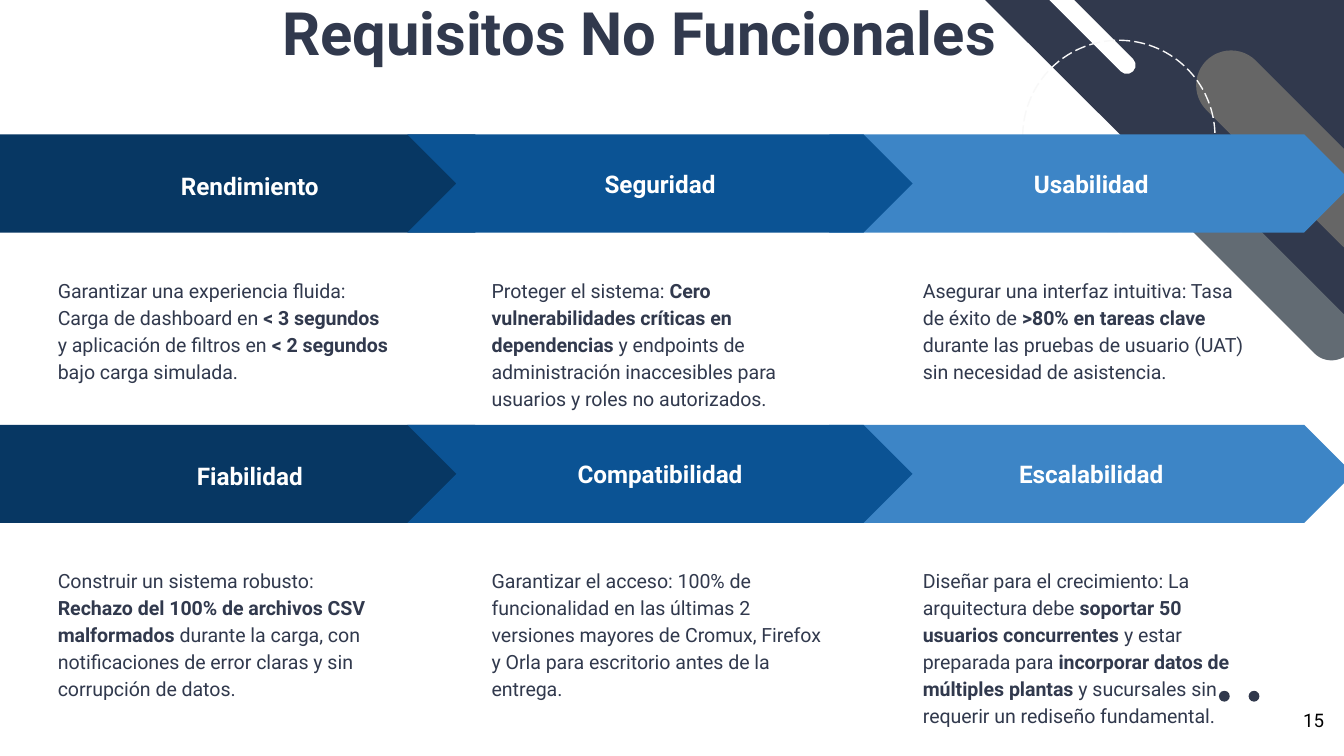
from pptx import Presentation
from pptx.dml.color import RGBColor
from pptx.enum.dml import MSO_LINE
from pptx.enum.shapes import MSO_SHAPE
from pptx.enum.text import MSO_ANCHOR, PP_ALIGN
from pptx.util import Pt

DARK = RGBColor(0x31, 0x39, 0x4D)
GRAY = RGBColor(0x66, 0x66, 0x66)
SLATE = RGBColor(0x62, 0x6B, 0x73)
PALE = RGBColor(0xF8, 0xF8, 0xF8)
WHITE = RGBColor(0xFF, 0xFF, 0xFF)
BLACK = RGBColor(0, 0, 0)
NAVY = RGBColor(0x07, 0x37, 0x63)
BLUE = RGBColor(0x0B, 0x53, 0x94)
SKY = RGBColor(0x3D, 0x85, 0xC6)

OVAL, ROUND = MSO_SHAPE.OVAL, MSO_SHAPE.ROUNDED_RECTANGLE
WEDGE = MSO_SHAPE.RIGHT_TRIANGLE
PLATE, CHEVRON = MSO_SHAPE.PENTAGON, MSO_SHAPE.CHEVRON
TOP, MIDDLE, BOTTOM = MSO_ANCHOR.TOP, MSO_ANCHOR.MIDDLE, MSO_ANCHOR.BOTTOM
LEFT, CENTER, RIGHT = PP_ALIGN.LEFT, PP_ALIGN.CENTER, PP_ALIGN.RIGHT
DASH = MSO_LINE.LONG_DASH

FONT = "Roboto"
INSET = 7.2
BAND = 52.6    # height of the arrows
DROP = 68.4    # from the top of a row to its body text

# Arrow shape, colour, left, width, line spacing; left of the body text
COLS = [
    (PLATE, NAVY, 0, 280.8, 1.15, 23.9),
    (CHEVRON, BLUE, 218.2, 270.7, 1, 256.3),
    (CHEVRON, SKY, 444.2, 280.8, 1, 487.3),
]
STACK = (2, 0, 1)  # drawing order: the middle arrow lies on top

# Top of each row, then heading and body; ** switches bold on and off
ROWS = [
    (72, [
        ("Rendimiento",
         "Garantizar una experiencia fluida: Carga de dashboard en "
         "**< 3 segundos** y aplicación de filtros en **< 2 segundos** "
         "bajo carga simulada."),
        ("Seguridad",
         "Proteger el sistema: **Cero vulnerabilidades críticas en "
         "dependencias** y endpoints de administración inaccesibles para "
         "usuarios y roles no autorizados."),
        ("Usabilidad",
         "Asegurar una interfaz intuitiva: Tasa de éxito de **>80% en "
         "tareas clave** durante las pruebas de usuario (UAT) sin "
         "necesidad de asistencia."),
    ]),
    (227.6, [
        ("Fiabilidad",
         "Construir un sistema robusto: **Rechazo del 100% de archivos CSV "
         "malformados** durante la carga, con notificaciones de error "
         "claras y sin corrupción de datos."),
        ("Compatibilidad",
         "Garantizar el acceso: 100% de funcionalidad en las últimas 2 "
         "versiones mayores de Cromux, Firefox y Orla para escritorio "
         "antes de la entrega."),
        ("Escalabilidad",
         "Diseñar para el crecimiento: La arquitectura debe **soportar 50 "
         "usuarios concurrentes** y estar preparada para **incorporar datos "
         "de múltiples plantas** y sucursales sin requerir un rediseño "
         "fundamental."),
    ]),
]


def add_shape(slide, kind, box, fill, turn=0):
    shape = slide.shapes.add_shape(kind, *map(Pt, box))
    shape.shadow.inherit = False
    shape.rotation = turn
    shape.line.fill.background()
    if fill is None:
        shape.fill.background()
    else:
        shape.fill.solid()
        shape.fill.fore_color.rgb = fill
    return shape


def add_bar(slide, box, fill):
    bar = add_shape(slide, ROUND, box, fill, 45)
    bar.adjustments[0] = 0.5


def write(shape, text, size, color, bold=None, align=LEFT, anchor=TOP,
          space=1):
    frame = shape.text_frame
    frame.word_wrap = True
    frame.vertical_anchor = anchor
    frame.margin_left = frame.margin_right = Pt(INSET)
    frame.margin_top = frame.margin_bottom = Pt(INSET)
    para = frame.paragraphs[0]
    para.alignment = align
    para.line_spacing = space
    font = para.font
    font.name, font.size, font.bold = FONT, Pt(size), bold
    font.color.rgb = color
    for i, part in enumerate(text.split("**")):
        run = para.add_run()
        run.text = part
        if i % 2:
            run.font.bold = True


def add_text(slide, box, text, size, color, **style):
    write(slide.shapes.add_textbox(*map(Pt, box)), text, size, color, **style)


def add_decor(slide):
    for left in (653, 668.9):
        add_shape(slide, OVAL, (left, 370.1, 5.8, 5.8), DARK)
    add_shape(slide, WEDGE, (526.3, -1.4, 193.7, 193), DARK, 180)
    add_bar(slide, (625.7, 63.4, 140.4, 37.4), GRAY)
    add_bar(slide, (540, 5.8, 78.5, 9.4), WHITE)
    ring = add_shape(slide, OVAL, (547.9, 21.6, 103, 103), None)
    ring.line.color.rgb = PALE
    ring.line.width = Pt(0.75)
    ring.line.dash_style = DASH
    add_bar(slide, (602.6, 126.7, 140.4, 25.9), SLATE)


def add_row(slide, top, items):
    for i in STACK:
        kind, fill, left, width, space, inner = COLS[i]
        head, body = items[i]
        arrow = add_shape(slide, kind, (left, top, width, BAND), fill)
        write(arrow, head, 13, WHITE, bold=True, align=CENTER,
              anchor=MIDDLE, space=space)
        add_text(slide, (inner, top + DROP, 193.7, 205.9), body, 10.5, DARK,
                 space=1.15)


def main():
    deck = Presentation()
    deck.slide_width, deck.slide_height = Pt(720), Pt(405)
    slide = deck.slides.add_slide(deck.slide_layouts[6])

    # Corner and dots
    add_decor(slide)
    # Page number and title
    add_text(slide, (673.2, 373.7, 43.2, 31), "15", 10, BLACK, align=RIGHT)
    add_text(slide, (144, 0, 402.5, 43.2), "Requisitos No Funcionales", 32,
             DARK, bold=True, anchor=BOTTOM)
    # Two rows of requirements
    for top, items in ROWS:
        add_row(slide, top, items)

    deck.save("out.pptx")


if __name__ == "__main__":
    main()
